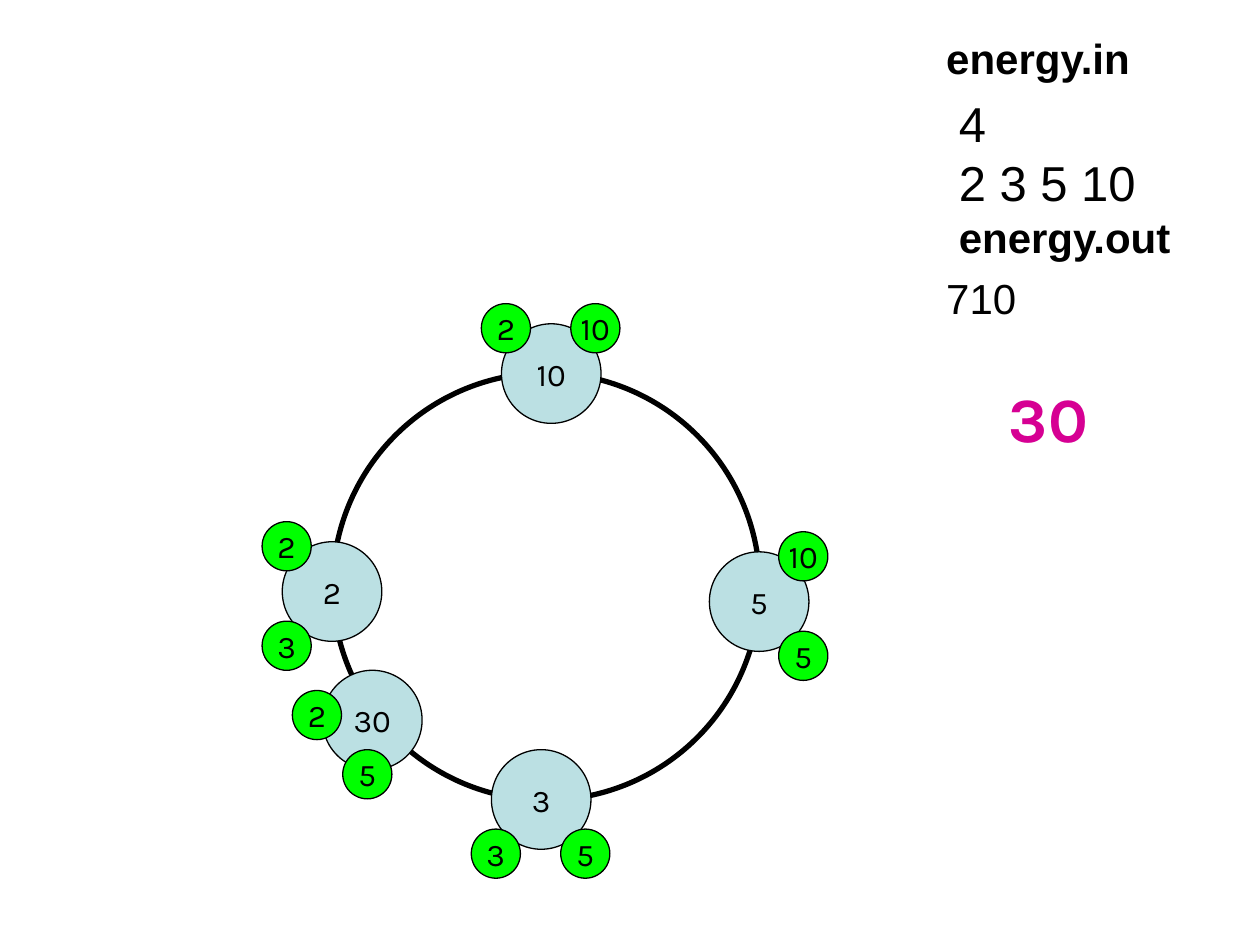
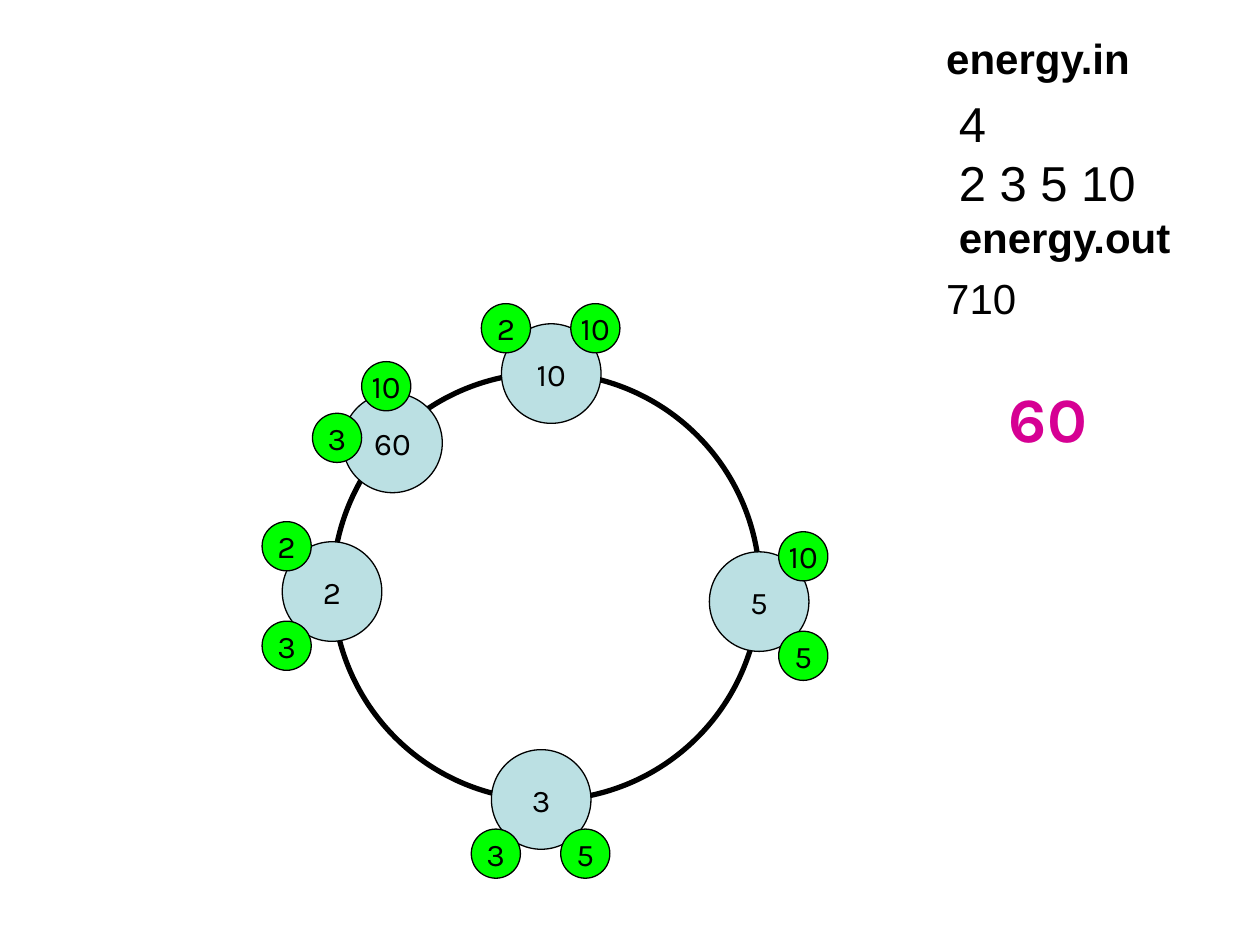
from dataclasses import dataclass

from lxml import etree
from pptx import Presentation
from pptx.dml.color import RGBColor
from pptx.enum.shapes import MSO_SHAPE
from pptx.enum.text import MSO_ANCHOR, MSO_AUTO_SIZE, PP_ALIGN
from pptx.oxml.ns import qn
from pptx.util import Pt

OVAL = MSO_SHAPE.OVAL
MIDDLE, CENTER = MSO_ANCHOR.MIDDLE, PP_ALIGN.CENTER
NO_FIT, GROW = MSO_AUTO_SIZE.NONE, MSO_AUTO_SIZE.SHAPE_TO_FIT_TEXT
PX = 9144  # 100 px to the inch


@dataclass(frozen=True)
class Theme:
    ink: RGBColor = RGBColor(0x00, 0x00, 0x00)
    bead: RGBColor = RGBColor(0xBB, 0xE0, 0xE3)
    mark: RGBColor = RGBColor(0x00, 0xFF, 0x00)
    total: RGBColor = RGBColor(0xD6, 0x00, 0x93)
    text_font: str = "Arial"
    number_font: str = "Karla"
    label_size: int = 18
    file_size: int = 24
    data_size: int = 28
    total_size: int = 36


T = Theme()
BEAD, MARK = 79, 39

# Offsets of a mark from the top left corner of its bead
TL, TR, BL, BR = (-16, -16), (55, -16), (-16, 63), (55, 63)
LEFT, TOP, BOTTOM = (-24, 16), (15, -25), (16, 63)

# Bead label, left, top, then its marks
NECKLACE = [
    ("5", 563, 438, [("10", TR), ("5", BR)]),
    ("2", 224, 430, [("2", TL), ("3", BL)]),
    ("10", 398, 257, [("10", TR), ("2", TL)]),
    ("3", 390, 595, [("3", BL), ("5", BR)]),
]
MERGED = [
    ("30", 256, 532, [("2", LEFT), ("5", BOTTOM)]),
    ("60", 272, 312, [("10", TOP), ("3", LEFT)]),
]

# Paragraphs: first-line indent in px, then lines of text, size and weight
SAMPLE = [
    (-10, [("energy.in", T.file_size, True)]),
    (0, [("4", T.data_size, False), ("2 3 5 10", T.data_size, False),
         ("energy.out", T.file_size, True)]),
    (-10, [("710", T.file_size, False)]),
]


def style(r, size, color, font, bold=False):
    r.font.size, r.font.name, r.font.bold = Pt(size), font, bold
    r.font.color.rgb = color


def add_disc(shapes, x, y, size, fill, label):
    sp = shapes.add_shape(OVAL, x * PX, y * PX, size * PX, size * PX)
    sp.shadow.inherit = False
    sp.fill.solid()
    sp.fill.fore_color.rgb = fill
    sp.line.color.rgb = T.ink
    sp.line.width = Pt(0.75)
    tf = sp.text_frame
    tf.text = label
    tf.word_wrap = False
    tf.vertical_anchor = MIDDLE
    p = tf.paragraphs[0]
    p.alignment = CENTER
    style(p.runs[0], T.label_size, T.ink, T.number_font)


prs = Presentation()
prs.slide_width, prs.slide_height = 1000 * PX, 750 * PX

for merged in MERGED:
    s = prs.slides.add_slide(prs.slide_layouts[1])
    title = s.shapes.title
    title.element.getparent().remove(title.element)

    body = s.placeholders[1]
    body.left, body.top, body.width, body.height = 713 * PX, 21 * PX, 268 * PX, 260 * PX
    tf = body.text_frame
    tf.auto_size = NO_FIT
    for i, (indent, lines) in enumerate(SAMPLE):
        p = tf.paragraphs[0] if i == 0 else tf.add_paragraph()
        p.text = "\v".join(text for text, _, _ in lines)
        p.space_before = Pt(6 if i else 0)
        pPr = p._p.get_or_add_pPr()
        pPr.set("marL", str(38 * PX))
        pPr.set("indent", str(indent * PX))
        etree.SubElement(pPr, qn("a:buNone"))
        for r, (_, size, bold) in zip(p.runs, lines):
            style(r, size, T.ink, T.text_font, bold)
        for br in p._p.findall(qn("a:br")):
            etree.SubElement(br, qn("a:rPr"), sz=str(T.data_size * 100))

    ring = s.shapes.add_shape(OVAL, 264 * PX, 296 * PX, 339 * PX, 339 * PX)
    ring.shadow.inherit = False
    ring.fill.background()
    ring.line.color.rgb = T.ink
    ring.line.width = Pt(3)

    for label, x, y, marks in NECKLACE + [merged]:
        group = s.shapes.add_group_shape()
        add_disc(group.shapes, x, y, BEAD, T.bead, label)
        for mark, (dx, dy) in marks:
            add_disc(group.shapes, x + dx, y + dy, MARK, T.mark, mark)

    total = s.shapes.add_textbox(791 * PX, 296 * PX, 94 * PX, 70 * PX)
    tf = total.text_frame
    tf.text = merged[0]
    tf.word_wrap = True
    tf.auto_size = GROW
    style(tf.paragraphs[0].runs[0], T.total_size, T.total, T.number_font, True)

prs.save("out.pptx")
